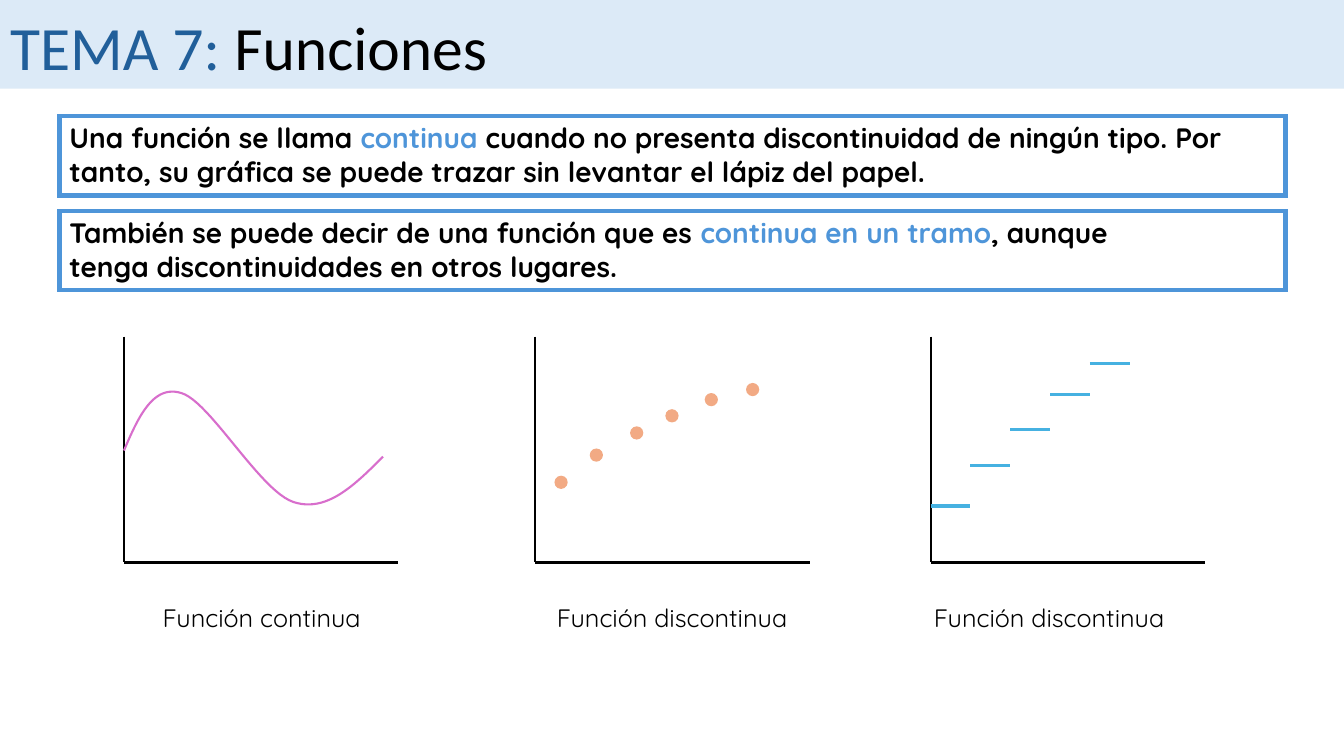
from pptx import Presentation
from pptx.dml.color import RGBColor
from pptx.enum.shapes import MSO_CONNECTOR, MSO_SHAPE
from pptx.enum.text import MSO_ANCHOR, PP_ALIGN
from pptx.oxml.ns import qn
from pptx.util import Inches, Pt
from lxml.etree import SubElement

# Content
BLACK, BLUE = "000000", "4E95D9"
TITLE = [("TEMA 7: ", "215F9A"), ("Funciones", BLACK)]
DEFINITIONS = [
    [[("Una función se llama ", BLACK), ("continua", BLUE),
      (" cuando no presenta discontinuidad de ningún tipo. Por tanto, "
       "su gráfica se puede trazar sin levantar el lápiz del papel.", BLACK)]],
    [[("También se puede decir de una función que es ", BLACK),
      ("continua en un tramo", BLUE), (", aunque", BLACK)],
     [("tenga discontinuidades en otros lugares.", BLACK)]],
]
# (axis left, caption left, caption)
GRAPHS = [
    (1.23, 0.97, "Función continua"),
    (5.31, 5.04, "Función discontinua"),
    (9.23, 8.78, "Función discontinua"),
]
CURVE_START = (1.23, 4.47)
CURVE = [  # two control points and an end point per Bézier segment
    ((1.37, 4.14), (1.52, 3.81), (1.80, 3.90)),
    ((2.08, 3.98), (2.58, 4.87), (2.91, 4.98)),
    ((3.24, 5.09), (3.52, 4.81), (3.80, 4.53)),
]
DOTS = [(5.51, 4.73), (5.86, 4.46), (6.26, 4.24),
        (6.61, 4.07), (7.00, 3.91), (7.41, 3.81)]
DOT_SIZE = 0.11
STEP_TOPS = [5.02, 4.62, 4.26, 3.91, 3.61]
STEP_WIDTH = 0.395
AXIS_TOP, AXIS_BOTTOM, AXIS_WIDTH = 3.34, 5.58, 2.72


def rgb(value):
    return RGBColor.from_string(value)


def box(*lengths):
    return [Inches(v) for v in lengths]


def add_runs(p, runs):
    for text, color in runs:
        r = p.add_run()
        r.text = text
        r.font.color.rgb = rgb(color)


def style(sp, fill=None, line=None, width=1.5):
    sp.shadow.inherit = False
    if fill:
        sp.fill.solid()
        sp.fill.fore_color.rgb = rgb(fill)
    else:
        sp.fill.background()
    if line:
        sp.line.color.rgb = rgb(line)
        sp.line.width = Pt(width)
        # Sharp corners
        SubElement(sp._element.spPr.find(qn("a:ln")), qn("a:miter"),
                   lim="800000")
    else:
        sp.line.fill.background()


def add_line(shapes, x1, y1, x2, y2, color=BLACK, width=1.5):
    ln = shapes.add_connector(MSO_CONNECTOR.STRAIGHT, *box(x1, y1, x2, y2))
    ln.line.color.rgb = rgb(color)
    ln.line.width = Pt(width)
    SubElement(ln._element.spPr, qn("a:effectLst"))


def bezier(p0, p1, p2, p3, steps=24):
    for i in range(1, steps + 1):
        t = i / steps
        u = 1 - t
        yield tuple(u**3 * a + 3 * u * u * t * b + 3 * u * t * t * c + t**3 * d
                    for a, b, c, d in zip(p0, p1, p2, p3))


def draw_curve(shapes):
    points, start = [], CURVE_START
    for segment in CURVE:
        points += bezier(start, *segment)
        start = segment[-1]
    builder = shapes.build_freeform(*box(*CURVE_START))
    builder.add_line_segments([box(*point) for point in points], close=False)
    style(builder.convert_to_shape(), line="D86ECC")


def draw_dots(shapes):
    for x, y in DOTS:
        dot = shapes.add_shape(MSO_SHAPE.OVAL, *box(x, y, DOT_SIZE, DOT_SIZE))
        style(dot, "F2AA84", "F2AA84")


def draw_steps(shapes):
    for i, y in enumerate(STEP_TOPS):
        x = GRAPHS[2][0] + i * STEP_WIDTH
        add_line(shapes, x, y, x + STEP_WIDTH, y, "46B1E1", 2.25)


prs = Presentation()
prs.slide_width, prs.slide_height = box(13.33, 7.5)
slide = prs.slides.add_slide(prs.slide_layouts[5])

# Title over its band
band = slide.shapes.add_shape(MSO_SHAPE.RECTANGLE, *box(0, 0, 13.33, 0.88))
style(band, "DCEAF7")
title = slide.shapes.title
title._element.addprevious(band._element)
title.left, title.top, title.width, title.height = box(0, 0.04, 11.85, 0.84)
title.text_frame.vertical_anchor = MSO_ANCHOR.TOP
p = title.text_frame.paragraphs[0]
p.alignment = PP_ALIGN.LEFT
p.font.name, p.font.size = "Calibri", Pt(44)
add_runs(p, TITLE)

# Framed definitions
for i, paragraphs in enumerate(DEFINITIONS):
    frame = slide.shapes.add_shape(
        MSO_SHAPE.RECTANGLE, *box(0.59, 1.15 + 0.94 * i, 12.16, 0.79))
    style(frame, line=BLUE, width=3)
    tf = frame.text_frame
    tf.word_wrap = True
    tf.vertical_anchor = MSO_ANCHOR.TOP
    for j, runs in enumerate(paragraphs):
        p = tf.add_paragraph() if j else tf.paragraphs[0]
        p.alignment = PP_ALIGN.LEFT
        p.font.name, p.font.size, p.font.bold = "Quicksand", Pt(20), True
        add_runs(p, runs)

# Graphs with axes and captions
for (x, caption_left, caption), draw in zip(
        GRAPHS, (draw_curve, draw_dots, draw_steps)):
    graph = slide.shapes.add_group_shape().shapes
    add_line(graph, x, AXIS_TOP, x, AXIS_BOTTOM)
    add_line(graph, x, AXIS_BOTTOM, x + AXIS_WIDTH, AXIS_BOTTOM)
    draw(graph)
    tf = slide.shapes.add_textbox(
        *box(caption_left, 5.93, 3.25, 0.4)).text_frame
    tf.word_wrap = True
    p = tf.paragraphs[0]
    p.alignment = PP_ALIGN.CENTER
    p.font.name, p.font.size = "Quicksand", Pt(18)
    add_runs(p, [(caption, BLACK)])

prs.save("out.pptx")
